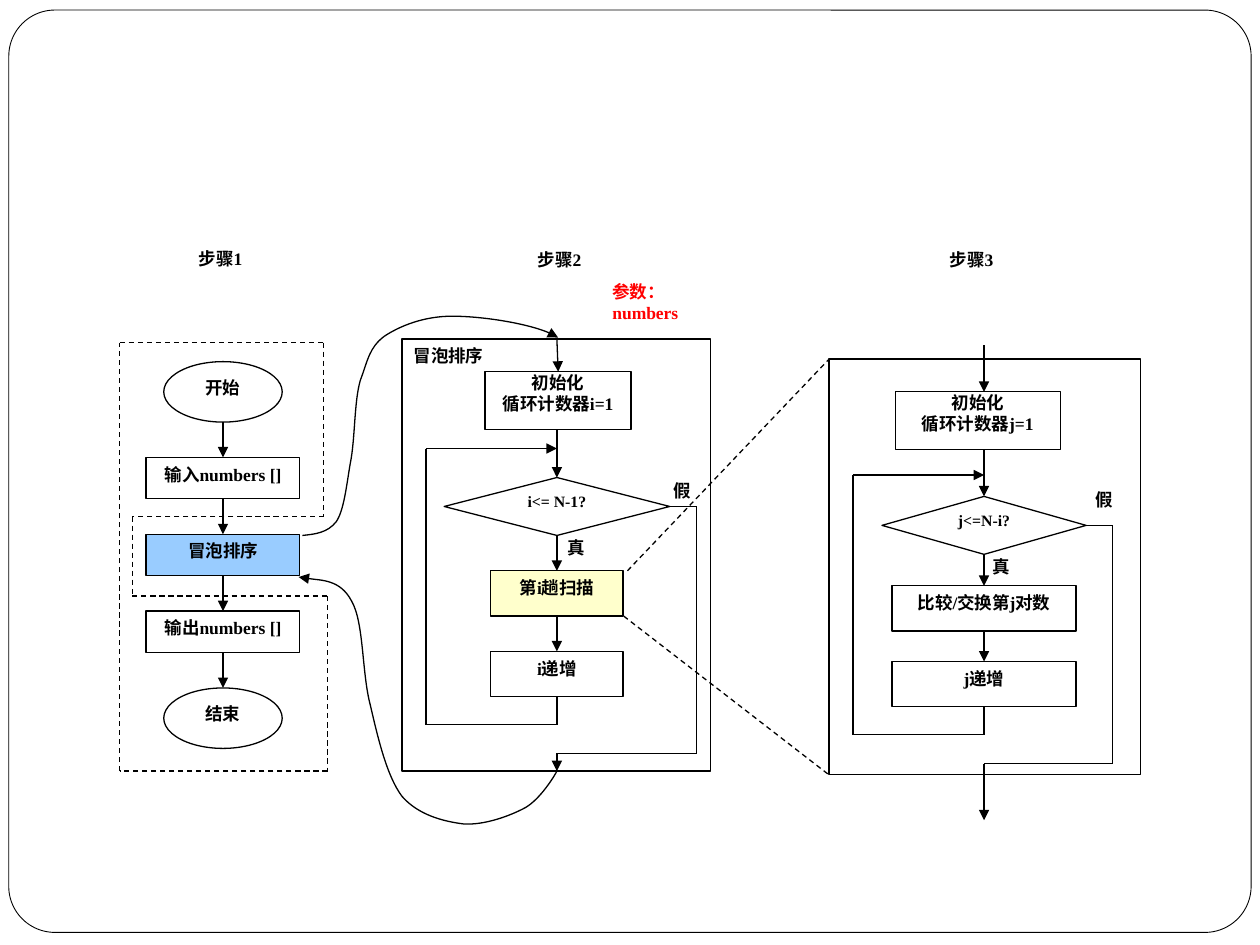
from dataclasses import dataclass
from itertools import pairwise

from lxml import etree
from pptx import Presentation, util as u
from pptx.dml.color import RGBColor
from pptx.enum import dml, shapes, text
from pptx.oxml.ns import qn


@dataclass(frozen=True)
class Theme:
    font: str = "Times New Roman"
    ink: str = "000000"
    paper: str = "FFFFFF"
    accent: str = "FF0000"
    call: str = "99CCFF"
    scan: str = "FFFFCC"
    body: float = 10
    small: float = 9
    line: float = 0.75
    border: float = 0.5


THEME = Theme()
SLIDE_SIZE = (10, 7.5)
KINDS = {
    "box": shapes.MSO_SHAPE.RECTANGLE,
    "end": shapes.MSO_SHAPE.FLOWCHART_CONNECTOR,
    "test": shapes.MSO_SHAPE.FLOWCHART_DECISION,
    "border": shapes.MSO_SHAPE.ROUNDED_RECTANGLE,
}
TOP, BOTTOM, RIGHT = 0, 2, 3

# Each node: kind, text, width, height, gap above, format
PROGRAM = dict(axis=1.77, top=2.87, nodes=[
    ("end", "开始", 0.94, 0.48, 0, {}),
    ("box", "输入numbers []", 1.22, 0.33, 0.28, {}),
    ("box", "冒泡排序", 1.22, 0.33, 0.28, dict(fill=THEME.call)),
    ("box", "输出numbers []", 1.22, 0.33, 0.28, {}),
    ("end", "结束", 0.94, 0.48, 0.28, {}),
])
TIGHT = dict(inset=(0, 0))
TEST = dict(inset=(0, 0), size=THEME.small)
LOOPS = [
    dict(axis=4.42, top=2.95, frame=(3.19, 2.69, 2.45, 3.43), entry=2.69,
         merge=0.15, exit_inset=0.11, exit_end=6.12, first_shift=0.01, nodes=[
             ("box", "初始化\n循环计数器i=1", 1.16, 0.46, 0, TIGHT),
             ("test", "i<= N-1?", 1.79, 0.46, 0.38, TEST),
             ("box", "第i趟扫描", 1.05, 0.36, 0.28, dict(fill=THEME.scan)),
             ("box", "i递增", 1.05, 0.36, 0.28, {})]),
    dict(axis=7.81, top=3.11, frame=(6.58, 2.85, 2.47, 3.3), entry=2.74,
         merge=0.2, exit_inset=0.22, exit_end=6.51, first_shift=-0.05, nodes=[
             ("box", "初始化\n循环计数器j=1", 1.31, 0.46, 0, TIGHT),
             ("test", "j<=N-i?", 1.62, 0.46, 0.37, TEST),
             ("box", "比较/交换第j对数", 1.46, 0.36, 0.25, {}),
             ("box", "j递增", 1.46, 0.36, 0.24, {})]),
]
LOOP_INSET, LOOP_DROP, EXIT_DROP = 0.19, 0.22, 0.45

LABELS = [
    ("步骤1", (1.48, 1.92, 0.75, 0.35), {}),
    ("步骤2", (4.17, 1.93, 0.75, 0.35), {}),
    ("步骤3", (7.44, 1.93, 0.75, 0.35), {}),
    ("真", (4.41, 4.21, 0.47, 0.35), {}),
    ("假", (5.25, 3.76, 0.36, 0.35), {}),
    ("真", (7.78, 4.36, 0.47, 0.35), {}),
    ("假", (8.6, 3.83, 0.36, 0.35), {}),
    ("冒泡排序", (3.11, 2.69, 0.9, 0.35), dict(align=text.PP_ALIGN.CENTER)),
    ("参数：\nnumbers", (4.84, 2.22, 0.91, 0.47),
     dict(color=THEME.accent, inset=(0.02, 0.01))),
]
DASHED = [
    [(0.95, 2.72), (2.57, 2.72), (2.57, 4.1), (1.05, 4.1), (1.05, 4.73),
     (2.6, 4.73), (2.6, 6.12), (0.95, 6.12), (0.95, 2.72)],
    [(4.98, 4.53), (6.58, 2.85)],
    [(4.95, 4.89), (6.58, 6.15)],
]
# Start point, then two control points and an end point per Bézier segment
CALL_CURVE = [
    (2.4, 4.25), (2.5, 4.24), (2.6, 4.23), (2.67, 4.14), (2.73, 4.05), (2.75, 3.86),
    (2.78, 3.68), (2.82, 3.49), (2.81, 3.19), (2.86, 3.02), (2.92, 2.86), (2.93, 2.76),
    (3.05, 2.67), (3.17, 2.59), (3.36, 2.51), (3.59, 2.51), (3.82, 2.51), (4.29, 2.58),
    (4.43, 2.68)]
RETURN_CURVE = [
    (4.42, 6.12), (4.4, 6.16), (4.29, 6.34), (4.17, 6.41), (4.04, 6.48), (3.84, 6.55),
    (3.68, 6.54), (3.52, 6.52), (3.32, 6.47), (3.19, 6.32), (3.07, 6.16), (3, 5.86),
    (2.94, 5.6), (2.87, 5.34), (2.89, 4.94), (2.79, 4.77), (2.7, 4.6), (2.46, 4.6),
    (2.37, 4.58)]


def inches(values):
    return [u.Inches(value) for value in values]


def write(box, words, color=THEME.ink, size=THEME.body, inset=(0.1, 0.05),
          align=text.PP_ALIGN.LEFT):
    frame = box.text_frame
    frame.word_wrap = True
    frame.vertical_anchor = text.MSO_ANCHOR.TOP
    frame.margin_left = frame.margin_right = u.Inches(inset[0])
    frame.margin_top = frame.margin_bottom = u.Inches(inset[1])
    frame.text = words
    for para in frame.paragraphs:
        para.alignment = align
        for span in para.runs:
            span.font.name, span.font.size, span.font.bold = THEME.font, u.Pt(size), True
            span.font.color.rgb = RGBColor.from_string(color)


def stroke(item, width=THEME.line, dash=False, arrow=False):
    item.line.color.rgb = RGBColor.from_string(THEME.ink)
    item.line.width = u.Pt(width)
    if dash:
        item.line.dash_style = dml.MSO_LINE.DASH
    if arrow:
        outline = item.element.spPr.find(qn("a:ln"))
        etree.SubElement(outline, qn("a:tailEnd"), type="triangle")


def add_box(page, kind, place, fill=None, width=THEME.line):
    box = page.shapes.add_shape(KINDS[kind], *inches(place))
    box.shadow.inherit = False
    stroke(box, width)
    if fill:
        box.fill.solid()
        box.fill.fore_color.rgb = RGBColor.from_string(fill)
    else:
        box.fill.background()
    return box


def add_route(page, points, start=None, end=None, dash=False, arrow=False):
    """Straight lines through points; start and end are (shape, site) joins."""
    pairs = list(pairwise(points))
    for index, (first, second) in enumerate(pairs):
        last = index == len(pairs) - 1
        line = page.shapes.add_connector(shapes.MSO_CONNECTOR.STRAIGHT,
                                         *inches(first + second))
        if start and index == 0:
            line.begin_connect(*start)
        if end and last:
            line.end_connect(*end)
        stroke(line, dash=dash, arrow=arrow and last)
        etree.SubElement(line.element.spPr, qn("a:effectLst"))


def add_curve(page, points):
    """Arrow along cubic segments, made by grouping line points in threes."""
    builder = page.shapes.build_freeform(*inches(points[0]), scale=1.0)
    builder.add_line_segments([inches(point) for point in points[1:]], close=False)
    curve = builder.convert_to_shape()
    curve.shadow.inherit = False
    curve.fill.background()
    stroke(curve, arrow=True)
    steps = curve.element.findall(".//" + qn("a:lnTo"))
    for index in range(0, len(steps), 3):
        cubic = etree.Element(qn("a:cubicBezTo"))
        steps[index].addprevious(cubic)
        for step in steps[index:index + 3]:
            cubic.append(step[0])
            step.getparent().remove(step)


def add_flow(page, flow):
    """Stack the nodes down the axis and join them; return (shape, bottom) pairs."""
    placed, y = [], flow["top"]
    shift = flow.get("first_shift", 0)
    for index, (kind, words, width, height, gap, style) in enumerate(flow["nodes"]):
        style = dict(style)
        x = flow["axis"] + (0 if index else shift)
        y += gap
        box = add_box(page, kind, (x - width / 2, y, width, height),
                      style.pop("fill", THEME.paper))
        write(box, words, align=text.PP_ALIGN.CENTER, **style)
        if placed:
            above, bottom = placed[-1]
            # The first node is an ellipse or stands off the axis: not joined
            add_route(page, [(x, bottom), (x, y)],
                      start=(above, BOTTOM) if index > 1 else None,
                      end=(box, TOP), arrow=True)
        y += height
        placed.append((box, y))
    return placed


def add_loop(page, loop):
    axis, (left, _, width, _) = loop["axis"], loop["frame"]
    add_box(page, "box", loop["frame"])
    (first, first_end), (test, test_end), _, (last, last_end) = add_flow(page, loop)
    add_route(page, [(axis, loop["entry"]), (axis, loop["top"])],
              end=(first, TOP) if loop["first_shift"] > 0 else None, arrow=True)
    back, low, merge = left + LOOP_INSET, last_end + LOOP_DROP, first_end + loop["merge"]
    add_route(page, [(axis, last_end), (axis, low), (back, low), (back, merge),
                     (axis, merge)], start=(last, BOTTOM), arrow=True)
    _, _, test_width, test_height, _, _ = loop["nodes"][1]
    middle, exit_x = test_end - test_height / 2, left + width - loop["exit_inset"]
    exit_y = last_end + EXIT_DROP
    add_route(page, [(axis + test_width / 2, middle), (exit_x, middle), (exit_x, exit_y),
                     (axis, exit_y), (axis, loop["exit_end"])],
              start=(test, RIGHT), arrow=True)


def main():
    deck = Presentation()
    deck.slide_width, deck.slide_height = inches(SLIDE_SIZE)
    page = deck.slides.add_slide(deck.slide_layouts[6])
    border = add_box(page, "border", (0.07, 0.08, 9.86, 7.32), THEME.paper, THEME.border)
    border.adjustments[0] = 0.05
    add_flow(page, PROGRAM)
    for loop in LOOPS:
        add_loop(page, loop)
    for points in DASHED:
        add_route(page, points, dash=True)
    for points in (CALL_CURVE, RETURN_CURVE):
        add_curve(page, points)
    for words, place, style in LABELS:
        write(page.shapes.add_textbox(*inches(place)), words, **style)
    deck.save("out.pptx")


if __name__ == "__main__":
    main()
